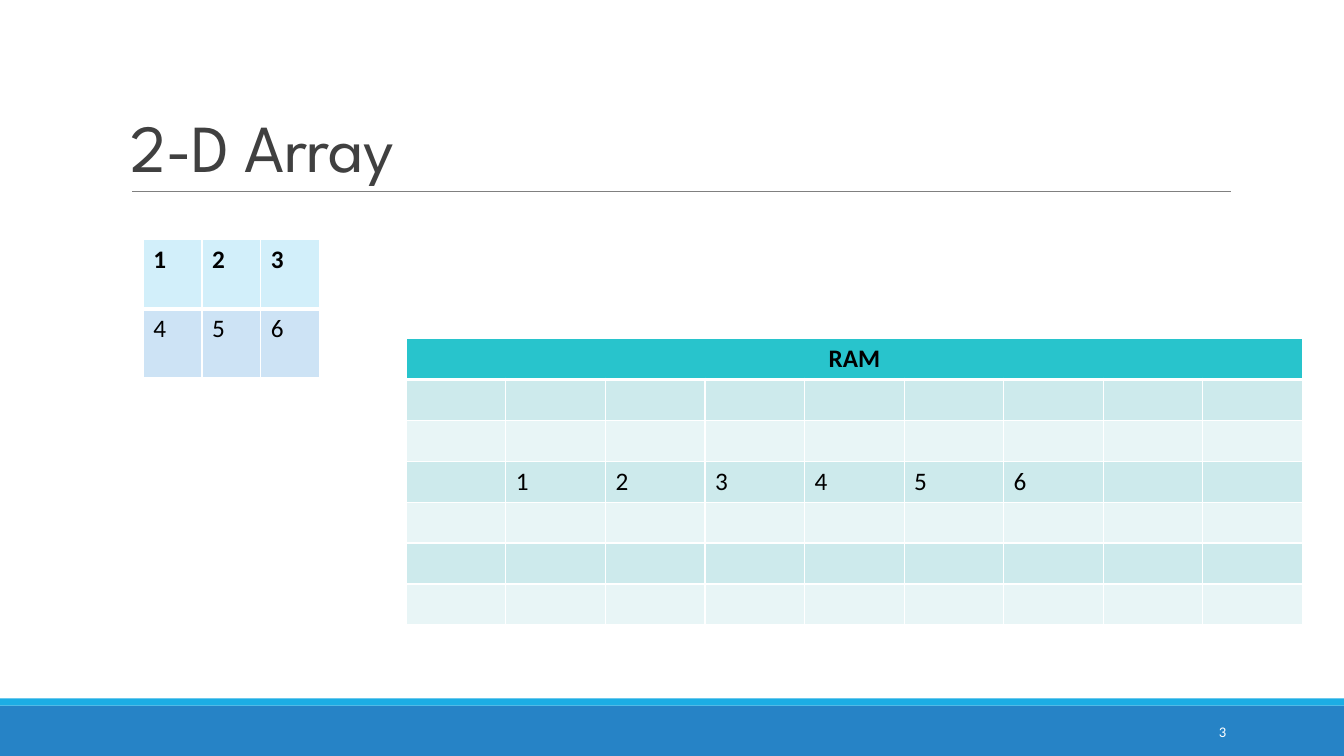
from lxml.etree import SubElement as Sub
from pptx import Presentation
from pptx.dml.color import RGBColor as RGB
from pptx.enum.shapes import MSO_CONNECTOR as Link, MSO_SHAPE as Kind
from pptx.enum.text import MSO_ANCHOR as Anchor, PP_ALIGN as Align
from pptx.oxml.ns import qn
from pptx.util import Inches, Pt


def color(code):
    return RGB.from_string(code)


def write(frame, text, size=18, font="Calibri", ink="000000", bold=False,
          align=Align.LEFT, anchor=Anchor.TOP, space=None, track=None):
    frame.word_wrap = True
    frame.vertical_anchor = anchor
    para = frame.paragraphs[0]
    para.alignment = align
    para.line_spacing = space
    run = para.add_run()
    run.text = text
    run.font.size = Pt(size)
    run.font.name = font
    run.font.bold = bold
    run.font.color.rgb = color(ink)
    if track is not None:
        run.font._element.set("spc", str(track))


deck = Presentation()
deck.slide_width = Inches(13.33)
deck.slide_height = Inches(7.5)
slide = deck.slides.add_slide(deck.slide_layouts[6])
shapes = slide.shapes

for top, high, code in [(7, 0.5, "2683C6"), (6.93, 0.07, "1CADE4")]:
    bar = shapes.add_shape(Kind.RECTANGLE, 0, Inches(top), deck.slide_width, Inches(high))
    bar.shadow.inherit = False
    bar.fill.solid()
    bar.fill.fore_color.rgb = color(code)
    bar.line.fill.background()

rule = shapes.add_connector(Link.STRAIGHT, Inches(1.31), Inches(1.9), Inches(12.21), Inches(1.9))
rule.line.color.rgb = color("808080")
rule.line.width = Pt(0.5)
Sub(rule._element.spPr, qn("a:effectLst"))

title = shapes.add_textbox(Inches(1.2), Inches(0.31), Inches(11), Inches(1.59))
write(title.text_frame, "2-D Array", size=48, font="League Spartan", ink="404040",
      anchor=Anchor.BOTTOM, space=0.85, track=-50)

number = shapes.add_textbox(Inches(10.83), Inches(7.06), Inches(1.43), Inches(0.4))
write(number.text_frame, "3", size=10.5, ink="FFFFFF", align=Align.RIGHT, anchor=Anchor.MIDDLE)

array = [["1", "2", "3"], ["4", "5", "6"]]
ram = [[""] * 9 for row in range(7)]
ram[0][0] = "RAM"
ram[3][1:7] = array[0] + array[1]

grids = [
    (array, 1.42, 2.38, 1.75, 1.37, "D2EFFA", ["CDE3F5"], Align.LEFT),
    (ram, 4.03, 3.36, 8.89, 2.84, "28C4CC", ["CDEAEC", "E8F5F6"], Align.CENTER),
]
for data, left, top, wide, high, head, bands, align in grids:
    table = shapes.add_table(len(data), len(data[0]), Inches(left), Inches(top),
                             Inches(wide), Inches(high)).table
    for r, row in enumerate(data):
        for c, text in enumerate(row):
            cell = table.cell(r, c)
            props = cell._tc.get_or_add_tcPr()
            for side in "LRTB":
                thick = (r, side) in [(0, "B"), (1, "T")]
                edge = Sub(props, qn("a:ln" + side), w=str(Pt(3 if thick else 1)))
                Sub(Sub(edge, qn("a:solidFill")), qn("a:srgbClr"), val="FFFFFF")
            cell.fill.solid()
            cell.fill.fore_color.rgb = color(bands[(r - 1) % len(bands)] if r else head)
            if text:
                write(cell.text_frame, text, bold=r == 0, align=Align.LEFT if r else align)
    if data is ram:
        table.cell(0, 0).merge(table.cell(0, 8))

deck.save("out.pptx")
